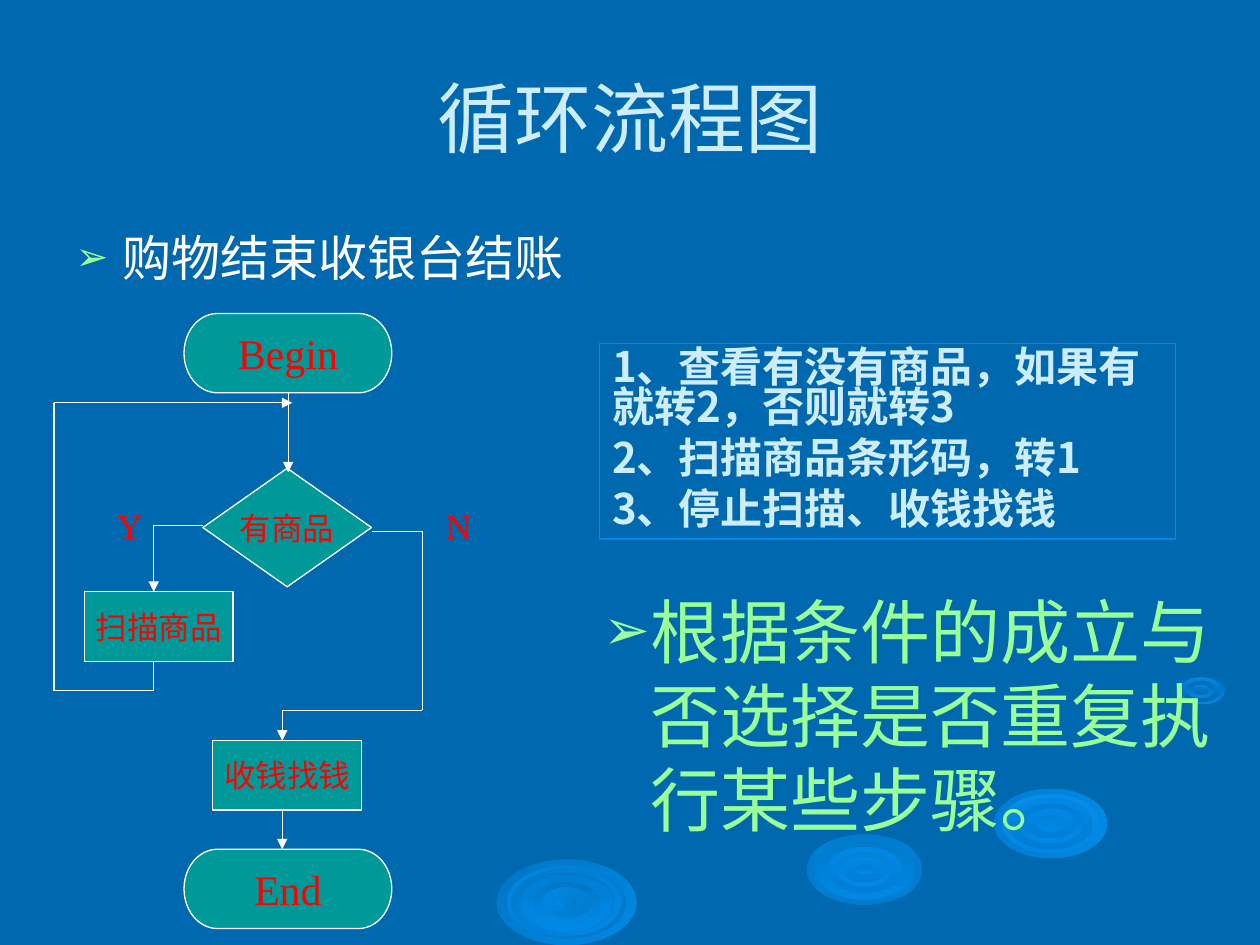
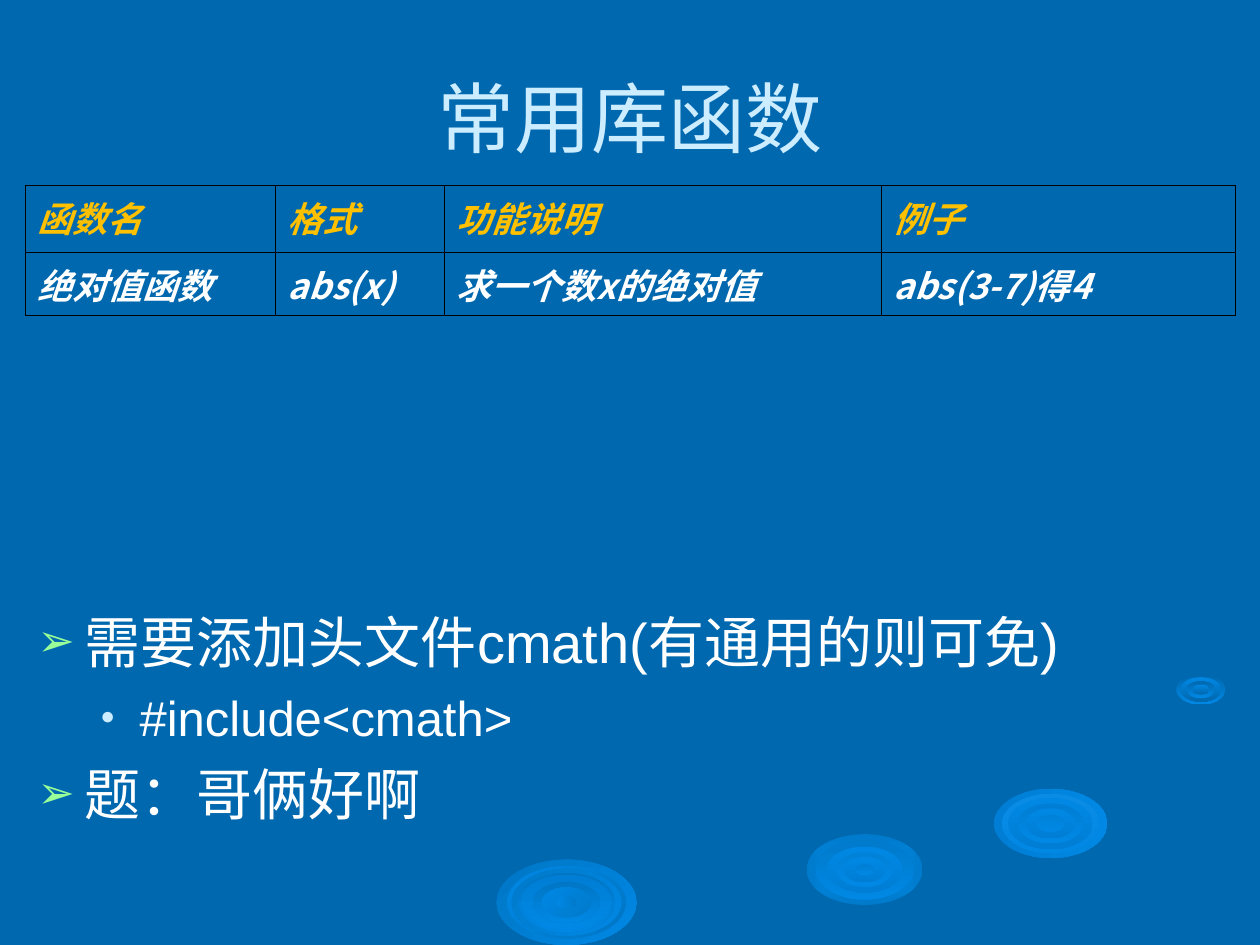
from dataclasses import dataclass
from itertools import pairwise

from lxml.etree import SubElement
from pptx import Presentation
from pptx.dml.color import RGBColor as Rgb
from pptx.enum.shapes import MSO_CONNECTOR as Link, MSO_SHAPE as Kind
from pptx.enum.text import MSO_ANCHOR as Anchor, MSO_AUTO_SIZE as Fit, PP_ALIGN as Align
from pptx.oxml.ns import qn
from pptx.util import Cm, Pt


@dataclass(frozen=True)
class Theme:
    back: str = "0068AE"
    glow: str = "0088E4"
    pale: str = "CCECFF"
    white: str = "FFFFFF"
    green: str = "99FF99"
    teal: str = "009999"
    red: str = "FF0000"
    gold: str = "FFC000"
    frame: str = "008AE8"
    grid: str = "000000"
    sans: str = "Arial"
    serif: str = "Times New Roman"
    han: str = "Noto Sans CJK SC"
    title: int = 44
    claim: int = 40
    list: int = 32
    sub: int = 28
    note: int = 24
    small: int = 20
    node: int = 18
    line: float = 0.75


T = Theme()

# Centre of each ripple, then its rings: width, two colours, angle
RIPPLES = [
    ((17.43, 17.53), [
        (2.34, T.glow, "007ACB", None), (1.98, "007ACB", T.glow, 90),
        (1.52, T.glow, "007ED5", 90), (1.14, "0082D9", T.glow, 90),
        (0.84, T.glow, "007ED5", 90), (0.38, "007ED5", T.glow, 90)]),
    ((11.42, 18.19), [
        (2.82, "0076C5", T.glow, 45), (2.39, T.glow, "0076C5", 45),
        (2.21, "007ACB", T.glow, 45), (1.96, "0076C5", T.glow, 90),
        (1.83, "007ED5", T.glow, 90), (1.35, "0076C5", T.glow, 90),
        (0.99, T.glow, "007ACB", 45), (0.41, T.glow, "007ACB", 0)]),
    ((21.18, 16.6), [
        (2.29, "007ED5", T.glow, 0), (1.96, "0A8CE5", T.glow, 90),
        (1.7, T.glow, "007ED5", 90), (1.32, "007ED5", T.glow, 90),
        (0.99, T.glow, "007ED5", 90), (0.56, "0082D9", T.glow, 90)]),
    ((24.21, 13.9), [
        (0.99, T.back, T.glow, 90), (0.81, T.glow, T.back, 90),
        (0.56, T.back, T.glow, 90), (0.33, T.glow, T.back, 90)]),
]
FLAT = 0.61  # height of a ring over its width


def rgb(code):
    return Rgb.from_string(code)


def box(*sides):
    return [Cm(side) for side in sides]


def place(shape, area):
    shape.left, shape.top, shape.width, shape.height = box(*area)


def style(para, size, color, face=T.sans, bold=False, italic=False):
    for run in para.runs:
        font = run.font
        font.size, font.name = Pt(size), face
        font.bold, font.italic = bold, italic
        font.color.rgb = rgb(color)
        SubElement(run._r.get_or_add_rPr(), qn("a:ea"), typeface=T.han)


def blend(shape, first, last, angle):
    """Fill with a gradient; without an angle it runs out from the centre."""
    fill = shape.fill
    fill.gradient()
    for stop, color in zip(fill.gradient_stops, (first, last)):
        stop.color.rgb = rgb(color)
    if angle is not None:
        fill.gradient_angle = -angle % 360
        return
    lin = shape.element.spPr.find(".//" + qn("a:lin"))
    grad = lin.getparent()
    grad.remove(lin)
    way = SubElement(grad, qn("a:path"), {"path": "rect"})
    SubElement(way, qn("a:fillToRect"), dict.fromkeys("ltrb", "50000"))


def backdrop(master, slide):
    """Give the master its background and the ripples."""
    master.background.fill.solid()
    master.background.fill.fore_color.rgb = rgb(T.back)
    group = slide.shapes.add_group_shape()
    for (x, y), rings in RIPPLES:
        for wide, first, last, angle in rings:
            high = wide * FLAT
            area = box(x - wide / 2, y - high / 2, wide, high)
            ring = group.shapes.add_shape(Kind.OVAL, *area)
            ring.shadow.inherit = False
            ring.line.fill.background()
            blend(ring, first, last, angle)
    master.shapes.element.insert(2, group.element)


def head(slide, text):
    title = slide.shapes.title
    place(title, (1.27, 0.76, 22.86, 3.18))
    frame = title.text_frame
    frame.text = text
    frame.auto_size, frame.vertical_anchor = Fit.NONE, Anchor.MIDDLE
    para = frame.paragraphs[0]
    para.alignment = Align.CENTER
    style(para, T.title, T.pale)


def bullet(para, mark, color, scale, left, hang):
    props = para._p.get_or_add_pPr()
    props.set("marL", str(Cm(left)))
    props.set("indent", str(-Cm(hang)))
    tint = SubElement(props, qn("a:buClr"))
    SubElement(tint, qn("a:srgbClr"), val=color)
    SubElement(props, qn("a:buSzPct"), val=str(scale * 1000))
    SubElement(props, qn("a:buChar"), char=mark)


def points(body, area, items):
    """Fill a body placeholder with (level, text, size, colour) items."""
    place(body, area)
    frame = body.text_frame
    frame.text = "\n".join(item[1] for item in items)
    frame.auto_size = Fit.NONE
    for i, (para, item) in enumerate(zip(frame.paragraphs, items)):
        level, _, size, color = item
        para.level = level
        para.space_before = Pt(size / 4 if i else 0)
        if level:
            bullet(para, "●", T.pale, 50, 2.06, 0.79)
        else:
            bullet(para, "➢", T.green, 80, 0.95, 0.95)
        style(para, size, color)


def node(slide, kind, area, text, size=T.node):
    shape = slide.shapes.add_shape(kind, *box(*area))
    shape.shadow.inherit = False
    shape.fill.solid()
    shape.fill.fore_color.rgb = rgb(T.teal)
    shape.line.color.rgb = rgb(T.white)
    shape.line.width = Pt(T.line)
    frame = shape.text_frame
    frame.text = text
    frame.word_wrap, frame.vertical_anchor = False, Anchor.MIDDLE
    para = frame.paragraphs[0]
    para.alignment = Align.CENTER
    style(para, size, T.red, T.serif)


def wire(slide, stops):
    """Join the stops by straight lines, with an arrowhead at the last."""
    for start, end in pairwise(stops):
        line = slide.shapes.add_connector(Link.STRAIGHT, *box(*start, *end))
        line.line.color.rgb = rgb(T.white)
        line.line.width = Pt(T.line)
        SubElement(line.element.spPr, qn("a:effectLst"))
    SubElement(line.line._get_or_add_ln(), qn("a:tailEnd"), type="triangle")


def label(slide, area, text):
    frame = slide.shapes.add_textbox(*box(*area)).text_frame
    frame.text = text
    frame.word_wrap = True
    para = frame.paragraphs[0]
    para.alignment = Align.CENTER
    style(para, T.small, T.red, T.serif)


def flow(slide, left, top):
    def at(x, y, *size):
        return (left + x, top + y, *size)

    pill, step = (4.19, 1.6), (3, 1.4)
    node(slide, Kind.FLOWCHART_TERMINATOR, at(2.62, 0, *pill), "Begin", T.note)
    node(slide, Kind.FLOWCHART_DECISION, at(3, 3.12, 3.4, 2.39), "有商品")
    node(slide, Kind.FLOWCHART_PROCESS, at(0.61, 5.61, *step), "扫描商品")
    node(slide, Kind.FLOWCHART_PROCESS, at(3.2, 8.61, *step), "收钱找钱")
    node(slide, Kind.FLOWCHART_TERMINATOR, at(2.62, 10.8, *pill), "End", T.note)
    routes = [
        [(4.72, 1.6), (4.72, 3.2)],
        [(3, 4.27), (2.01, 4.27), (2.01, 5.61)],
        [(6.4, 4.39), (7.42, 4.39), (7.42, 8), (4.6, 8), (4.6, 8.61)],
        [(2.01, 7.01), (2.01, 7.6), (0, 7.6), (0, 1.8), (4.8, 1.8)],
        [(4.6, 10.01), (4.6, 10.8)],
    ]
    for route in routes:
        wire(slide, [at(*stop) for stop in route])
    for text, x in (("Y", 1.02), ("N", 7.65)):
        label(slide, at(x, 3.73, 0.99, 1.12), text)


def steps(slide, area, lines):
    shape = slide.shapes.add_textbox(*box(*area))
    shape.line.color.rgb = rgb(T.frame)
    shape.line.width = Pt(T.line)
    frame = shape.text_frame
    frame.text = "\n".join(lines)
    frame.word_wrap = True
    for i, para in enumerate(frame.paragraphs):
        para.line_spacing = 0.8
        para.space_before = Pt(6 if i else 0)
        style(para, T.note, T.pale, T.han, bold=True)


def border(cell):
    props = cell._tc.get_or_add_tcPr()
    for side in "LRTB":
        line = SubElement(props, qn("a:ln" + side), w=str(Pt(0.25)))
        fill = SubElement(line, qn("a:solidFill"))
        SubElement(fill, qn("a:srgbClr"), val=T.grid)


def grid(slide, left, top, wides, highs, rows):
    area = box(left, top, sum(wides), sum(highs))
    table = slide.shapes.add_table(len(rows), len(wides), *area).table
    table.first_row = table.horz_banding = False
    for col, wide in zip(table.columns, wides):
        col.width = Cm(wide)
    for r, (texts, high) in enumerate(zip(rows, highs)):
        table.rows[r].height = Cm(high)
        for c, text in enumerate(texts):
            cell = table.cell(r, c)
            cell.text = text
            border(cell)
            cell.fill.background()
            color = T.white if r else T.gold
            style(cell.text_frame.paragraphs[0], T.small, color, T.han, True, True)


def loop(slide):
    head(slide, "循环流程图")
    _, intro, claim = slide.placeholders
    points(intro, (1.27, 4.45, 11.23, 12.57), [(0, "购物结束收银台结账", T.sub, T.white)])
    steps(slide, (12.09, 6.93, 11.61, 3.94), [
        "1、查看有没有商品，如果有就转2，否则就转3",
        "2、扫描商品条形码，转1",
        "3、停止扫描、收钱找钱"])
    flow(slide, 1.09, 6.32)
    points(claim, (11.91, 11.73, 12.8, 6.58), [
        (0, "根据条件的成立与否选择是否重复执行某些步骤。", T.claim, T.green)])


def library(slide):
    head(slide, "常用库函数")
    grid(slide, 0.5, 3.73, (5.05, 3.4, 8.81, 7.14), (1.35, 1.17), [
        ("函数名", "格式", "功能说明", "例子"),
        ("绝对值函数", "abs(x)", "求一个数x的绝对值", "abs(3-7)得4")])
    points(slide.placeholders[1], (0.5, 12.12, 24.2, 6.2), [
        (0, "需要添加头文件cmath(有通用的则可免)", T.list, T.white),
        (1, "#include<cmath>", T.sub, T.white),
        (0, "题：哥俩好啊", T.list, T.white)])


def main():
    deck = Presentation()
    deck.slide_width, deck.slide_height = box(25.4, 19.05)
    first = deck.slides.add_slide(deck.slide_layouts[3])
    backdrop(deck.slide_master, first)
    loop(first)
    library(deck.slides.add_slide(deck.slide_layouts[1]))
    deck.save("out.pptx")


if __name__ == "__main__":
    main()
